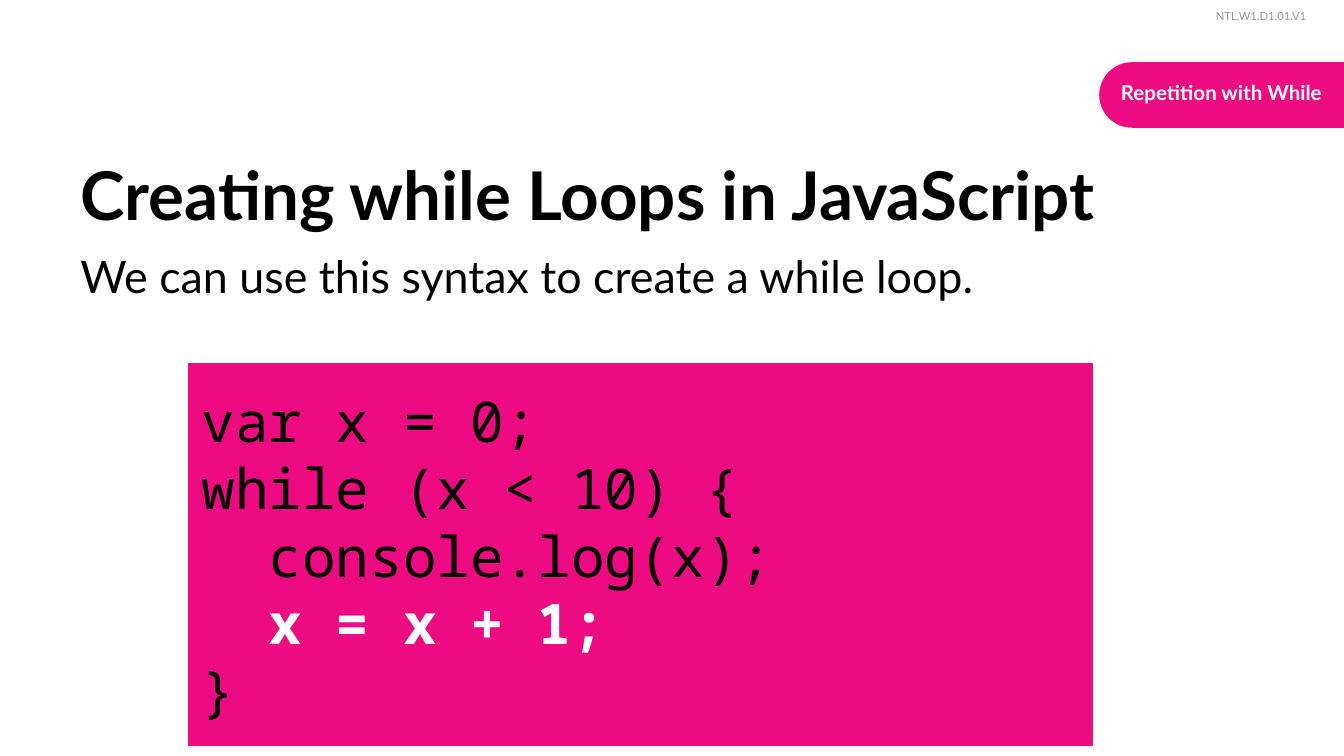
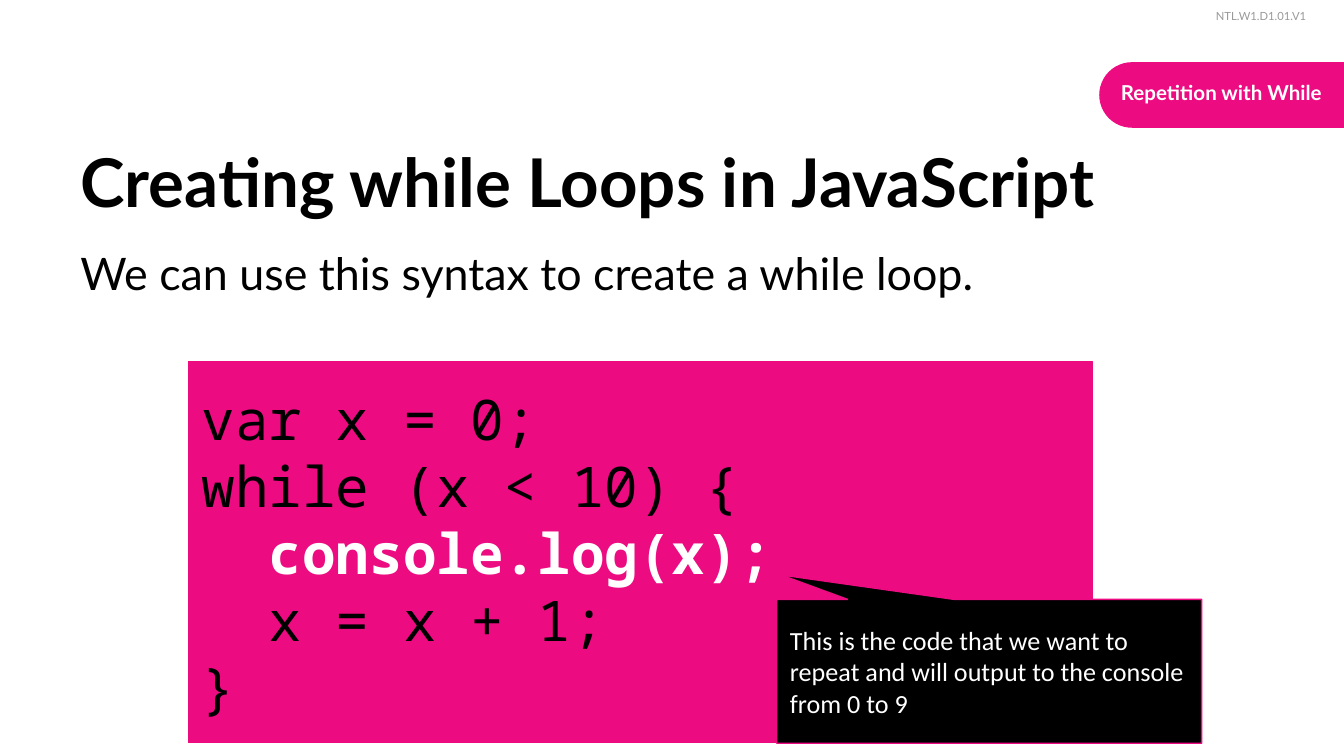
from dataclasses import dataclass

from pptx import Presentation
from pptx.dml.color import RGBColor
from pptx.enum.shapes import MSO_SHAPE
from pptx.enum.text import MSO_ANCHOR, MSO_AUTO_SIZE, PP_ALIGN
from pptx.shapes.autoshape import Shape
from pptx.slide import Slide
from pptx.util import Cm, Pt

RECTANGLE = MSO_SHAPE.RECTANGLE
TAB = MSO_SHAPE.ROUND_2_SAME_RECTANGLE
CALLOUT = MSO_SHAPE.ROUNDED_RECTANGULAR_CALLOUT
TOP, MIDDLE, BOTTOM = MSO_ANCHOR.TOP, MSO_ANCHOR.MIDDLE, MSO_ANCHOR.BOTTOM
LEFT, CENTER = PP_ALIGN.LEFT, PP_ALIGN.CENTER
FIXED_SIZE, GROW = MSO_AUTO_SIZE.NONE, MSO_AUTO_SIZE.SHAPE_TO_FIT_TEXT

PINK, BLACK, WHITE, GREY = "EC0B80", "000000", "FFFFFF", "999999"
TEXT_FONT, CODE_FONT, NOTE_FONT = "Lato", "Noto Sans Mono", "Calibri"
TITLE_ONLY = 5
INSET = Cm(0.25)

TITLE = "Creating while Loops in JavaScript"
INTRODUCTION = "We can use this syntax to create a while loop."
CODE = ["var x = 0;", "while (x < 10) {", "  console.log(x);", "  x = x + 1;", "}"]


@dataclass(frozen=True)
class Box:
    """A position and size in centimetres."""
    left: float
    top: float
    width: float
    height: float


@dataclass(frozen=True)
class Callout:
    text: str
    box: Box
    pointer: tuple[float, float, float]


@dataclass(frozen=True)
class LoopSlide:
    title_top: float
    introduction_top: float
    code_top: float
    highlighted_line: int
    callout: Callout | None = None


LOOP_SLIDES = [
    LoopSlide(2.29, 4.45, 6.88, highlighted_line=3),
    LoopSlide(
        2.03, 4.39, 6.83, highlighted_line=2,
        callout=Callout(
            "This is the code that we want to repeat and will output "
            "to the console from 0 to 9",
            Box(14.68, 11.33, 8.03, 2.72), (-0.49, -0.67, 0)),
    ),
]


def rgb(color: str) -> RGBColor:
    return RGBColor.from_string(color)


def place(shape: Shape, box: Box) -> None:
    shape.left, shape.top = Cm(box.left), Cm(box.top)
    shape.width, shape.height = Cm(box.width), Cm(box.height)


def write_text(shape: Shape, lines: list[str], *, size: float,
               font: str = TEXT_FONT, color: str = BLACK, bold: bool = False,
               align: PP_ALIGN = LEFT, anchor: MSO_ANCHOR = TOP,
               auto_size: MSO_AUTO_SIZE = FIXED_SIZE,
               spacing: float | None = None,
               highlighted_line: int | None = None) -> None:
    """Write one paragraph per line; the highlighted one is bold white."""
    frame = shape.text_frame
    frame.word_wrap = True
    frame.auto_size = auto_size
    frame.vertical_anchor = anchor
    frame.margin_left = frame.margin_right = INSET
    frame.margin_top = frame.margin_bottom = INSET
    for index, line in enumerate(lines):
        paragraph = frame.add_paragraph() if index else frame.paragraphs[0]
        paragraph.alignment = align
        paragraph.line_spacing = spacing
        run = paragraph.add_run()
        run.text = line
        highlighted = index == highlighted_line
        run.font.name = font
        run.font.size = Pt(size)
        run.font.bold = bold or highlighted
        run.font.color.rgb = rgb(WHITE if highlighted else color)


def add_text(slide: Slide, box: Box, text: str, **text_format) -> None:
    shape = slide.shapes.add_textbox(0, 0, 0, 0)
    place(shape, box)
    write_text(shape, [text], **text_format)


def add_filled_shape(slide: Slide, kind: MSO_SHAPE, box: Box, fill: str,
                     line: str | None = None,
                     adjustments: tuple[float, ...] = ()) -> Shape:
    shape = slide.shapes.add_shape(kind, 0, 0, 0, 0)
    place(shape, box)
    shape.shadow.inherit = False
    shape.fill.solid()
    shape.fill.fore_color.rgb = rgb(fill)
    if line:
        shape.line.color.rgb = rgb(line)
        shape.line.width = Pt(0.75)
    else:
        shape.line.fill.background()
    for index, value in enumerate(adjustments):
        shape.adjustments[index] = value
    return shape


def add_header(slide: Slide) -> None:
    tab = add_filled_shape(slide, TAB, Box(22.48, -0.53, 1.24, 4.65), PINK,
                           adjustments=(0.5, 0))
    tab.rotation = 270
    add_text(slide, Box(20.9, 1.27, 4.37, 1.5), "Repetition with While",
             size=11, color=WHITE, bold=True, align=CENTER, auto_size=GROW)
    add_text(slide, Box(22.73, 0, 2.46, 0.76), "NTL.W1.D1.01.V1",
             size=6, color=GREY, spacing=1.15, auto_size=GROW)


def add_callout(slide: Slide, callout: Callout) -> None:
    shape = add_filled_shape(slide, CALLOUT, callout.box, BLACK, PINK,
                             callout.pointer)
    write_text(shape, [callout.text], size=14, font=NOTE_FONT, color=WHITE,
               anchor=MIDDLE)


def add_loop_slide(presentation: Presentation, content: LoopSlide) -> None:
    slide = presentation.slides.add_slide(presentation.slide_layouts[TITLE_ONLY])
    add_header(slide)
    add_text(slide, Box(1.27, content.introduction_top, 22.86, 10.34),
             INTRODUCTION, size=24)
    title = slide.shapes.title
    place(title, Box(1.27, content.title_top, 22.86, 2.39))
    write_text(title, [TITLE], size=36, bold=True, anchor=BOTTOM)
    code = add_filled_shape(slide, RECTANGLE,
                            Box(3.56, content.code_top, 17.09, 7.21), PINK, PINK)
    write_text(code, CODE, size=30, font=CODE_FONT, anchor=MIDDLE,
               highlighted_line=content.highlighted_line)
    if content.callout:
        add_callout(slide, content.callout)


def main() -> None:
    presentation = Presentation()
    presentation.slide_width, presentation.slide_height = Cm(25.4), Cm(14.29)
    for content in LOOP_SLIDES:
        add_loop_slide(presentation, content)
    presentation.save("out.pptx")


if __name__ == "__main__":
    main()
